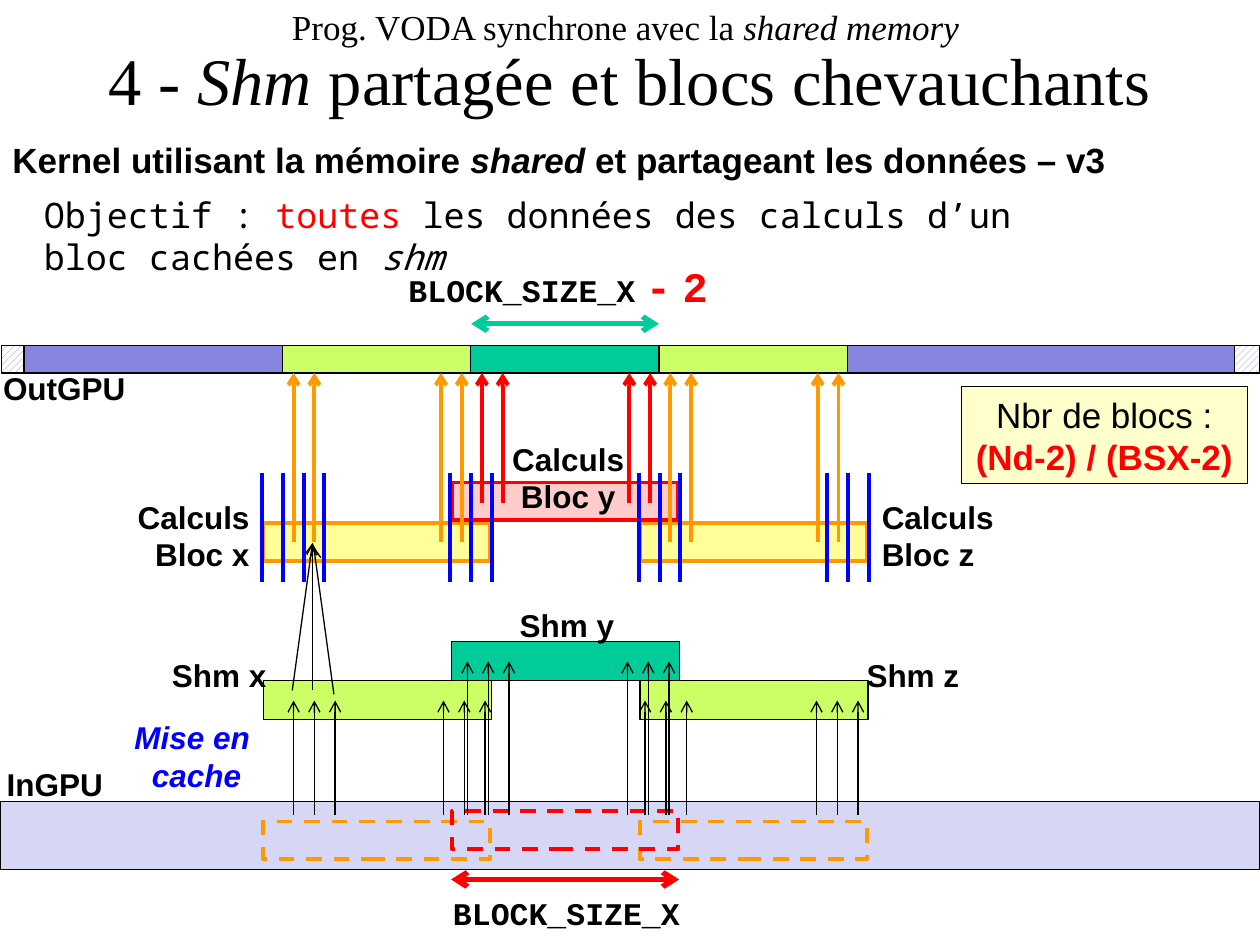
"""Build the slide on overlapping GPU blocks that share their cached data."""
from lxml import etree
from pptx import Presentation
from pptx import util as u
from pptx.dml.color import RGBColor
from pptx.enum import dml, shapes, text
from pptx.oxml.ns import qn

COLORS = {
    "black": "000000", "white": "FFFFFF", "red": "FF0000", "blue": "0000FF",
    "orange": "FF9900", "violet": "8585E0", "lilac": "D6D6F5", "green": "00CC99",
    "lime": "CCFF66", "yellow": "FFFF99", "pink": "FFCCCC", "cream": "FFFFCC",
}
RGB = {name: RGBColor.from_string(value) for name, value in COLORS.items()}
LEFT, CENTER, RIGHT = text.PP_ALIGN.LEFT, text.PP_ALIGN.CENTER, text.PP_ALIGN.RIGHT

deck = Presentation()
deck.slide_width, deck.slide_height = u.Inches(10), u.Inches(7.5)
slide = deck.slides.add_slide(deck.slide_layouts[6])
cell = deck.slide_width // 100


def write(frame, font, align, lines):
    for number, line in enumerate(lines):
        paragraph = frame.paragraphs[0] if number == 0 else frame.add_paragraph()
        paragraph.alignment = align
        for words, size, color, style in line:
            if words == "\n":
                paragraph.add_line_break()
                continue
            run = paragraph.add_run()
            run.text = words
            run.font.name, run.font.size = font, u.Pt(size)
            run.font.color.rgb = RGB[color]
            run.font.bold, run.font.italic = "b" in style, "i" in style


def draw_line(start, end, color, width, heads=()):
    ends = [int(value * cell) for value in (*start, *end)]
    line = slide.shapes.add_connector(shapes.MSO_CONNECTOR.STRAIGHT, *ends)
    line.line.color.rgb, line.line.width = RGB[color], u.Pt(width)
    for head in heads:
        etree.SubElement(line.line._get_or_add_ln(), qn(f"a:{head}End"), type="arrow")
    etree.SubElement(line._element.spPr, qn("a:effectLst"))


first_block, pitch, step = 20.8, 14.95, 1.65
block_x, block_y, block_z = [first_block + pitch * i for i in range(3)]
blocks = (block_x, block_y, block_z)
out_row, out_height = 27.4, 2.2
out_bottom = out_row + out_height
in_row, in_height = 63.6, 5.4

bars = [
    (1.2, out_row, 97.6, out_height, "violet", "black", 0.75),
    (0, in_row, 100, in_height, "lilac", "black", 0.75),
]
for i, fill in enumerate(("lime", "green", "lime")):
    bars.append((22.4 + pitch * i, out_row, pitch, out_height, fill, "black", 0.75))
for left, compute_row, cache_row, used_row, compute, cache, edge in (
    (block_x, 41.5, 54, 65.2, "yellow", "lime", "orange"),
    (block_z, 41.5, 54, 65.2, "yellow", "lime", "orange"),
    (block_y, 38.3, 50.9, 64.4, "pink", "green", "red"),
):
    bars += [
        (left + 0.1, compute_row, 18, 3, compute, edge, 2.25),
        (left + 0.1, cache_row, 18.1, 3.1, cache, "black", 0.75),
        (left + 0.1, used_row, 18, 3, None, edge, 2.25),
    ]
bars += [
    (0.1, out_row, 1.8, out_height, "hatch", "black", 0.75),
    (98, out_row, 2, out_height, "hatch", "black", 0.75),
    (76.3, 30.7, 22.7, 7.7, "cream", "black", 0.75),
]
for *box, fill, edge, width in bars:
    bar = slide.shapes.add_shape(
        shapes.MSO_SHAPE.RECTANGLE, *(int(value * cell) for value in box))
    bar.shadow.inherit = False
    bar.line.color.rgb, bar.line.width = RGB[edge], u.Pt(width)
    if fill is None:
        bar.fill.background()
        bar.line.dash_style = dml.MSO_LINE.DASH
    elif fill == "hatch":
        bar.fill.patterned()
        bar.fill.pattern = dml.MSO_PATTERN.WIDE_UPWARD_DIAGONAL
        bar.fill.fore_color.rgb, bar.fill.back_color.rgb = RGB["violet"], RGB["white"]
    else:
        bar.fill.solid()
        bar.fill.fore_color.rgb = RGB[fill]
block_count = bar.text_frame
block_count.word_wrap = True
write(block_count, "Arial", CENTER, [
    [("Nbr de blocs : ", 20, "black", ""), ("(Nd-2) / (BSX-2)", 20, "red", "b")]])

for left, ticks in ((block_x, 4), (block_y, 3), (block_z, 3), (block_z + pitch, 3)):
    for i in range(ticks):
        x = left + step * i
        draw_line((x, 37.5), (x, 46.2), "blue", 2.25)

for left, row, color in zip(blocks, (43, 39.9, 43), ("orange", "red", "orange")):
    for offset in (2.5, 2.5 + step, 14.2, 14.2 + step):
        x = left + offset
        draw_line((x, row), (x, out_bottom), color, 2.25, ["tail"])

for starts, row in (((23.3, 35.2), 55.6), ((37.1, 49.8), 52.5), ((51.2, 64.8), 55.6)):
    for start in starts:
        for i in range(3):
            x = start + step * i
            draw_line((x, 64.7), (x, row), "black", 0.75, ["tail"])

for start, end in (((23.2, 54.8), (24.8, 43.1)), ((24.8, 54.8), (24.8, 43.1)),
                   ((26.5, 55.1), (24.9, 43.4))):
    draw_line(start, end, "black", 0.75, ["tail"])

draw_line((37.4, 25.7), (52.3, 25.7), "green", 3, ["head", "tail"])
draw_line((35.8, 69.8), (53.9, 69.8), "red", 3, ["head", "tail"])

labels = [
    (0, 10.5, 89.8, 4.4, "Arial", LEFT, [[
        ("Kernel utilisant la mémoire ", 20, "black", "b"),
        ("shared ", 20, "black", "bi"),
        ("et partageant les données – v3", 20, "black", "b")]]),
    (31, 20.2, 26.6, 5, "Courier New", CENTER, [[
        ("BLOCK_SIZE_X", 18, "black", "b"), (" ", 10, "black", "b"),
        ("-", 24, "red", "b"), (" ", 11, "red", "b"), ("2", 24, "red", "b")]]),
    (34.9, 70.5, 20.1, 4, "Courier New", CENTER,
     [[("BLOCK_SIZE_X", 18, "black", "b")]]),
    (9.6, 56.5, 12, 7.1, "Arial", CENTER,
     [[("Mise en ", 18, "blue", "bi")], [("cache", 18, "blue", "bi")]]),
]
for left, top, width, height, align, *lines in (
    (-0.5, 60.2, 9.7, 4, CENTER, "InGPU"),
    (-0.8, 28.8, 11.8, 4, CENTER, "OutGPU"),
    (12.6, 51.6, 9.6, 4, CENTER, "Shm x"),
    (40.2, 47.6, 9.6, 4, CENTER, "Shm y"),
    (67.7, 51.6, 9.5, 4, CENTER, "Shm z"),
    (9.8, 39, 11, 7.1, RIGHT, "Calculs", "Bloc x"),
    (39.6, 34.4, 11, 7.1, CENTER, "Calculs", "Bloc y"),
    (69, 39, 11.7, 7.1, LEFT, "Calculs", "Bloc z"),
):
    labels.append((left, top, width, height, "Arial", align,
                   [[(line, 18, "black", "b")] for line in lines]))
for *box, font, align, lines in labels:
    label = slide.shapes.add_textbox(*(int(value * cell) for value in box)).text_frame
    label.word_wrap = False
    write(label, font, align, lines)

goal = slide.shapes.add_textbox(
    *(int(value * cell) for value in (2.5, 14.9, 85.2, 4.4))).text_frame
goal.word_wrap = True
write(goal, "Noto Sans Mono", LEFT, [[
    ("Objectif : ", 20, "black", ""), ("toutes", 20, "red", ""),
    (" les données des calculs d’un bloc cachées en ", 20, "black", ""),
    ("shm", 20, "black", "i")]])

title = slide.shapes.add_textbox(0, 0, deck.slide_width, int(10.4 * cell)).text_frame
title.word_wrap = True
title.vertical_anchor = text.MSO_ANCHOR.MIDDLE
write(title, "Times New Roman", CENTER, [[
    ("Prog. VODA synchrone avec la ", 20, "black", ""),
    ("shared memory ", 20, "black", "i"), ("\n", 20, "black", ""),
    ("4 - ", 38, "black", ""), ("Shm ", 38, "black", "i"),
    ("partagée et blocs chevauchants", 38, "black", "")]])
title.paragraphs[0].line_spacing = 0.9

deck.save("out.pptx")
